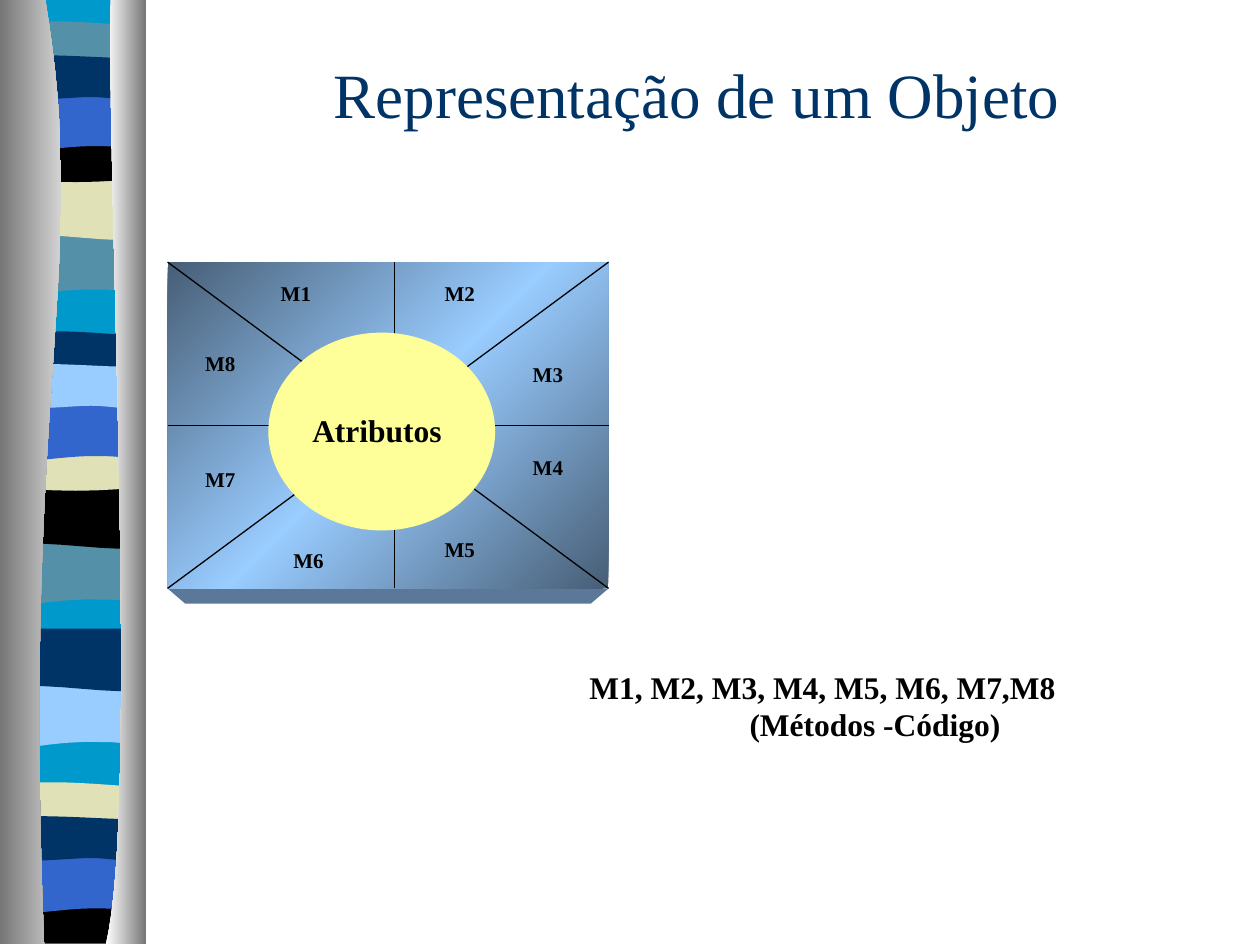
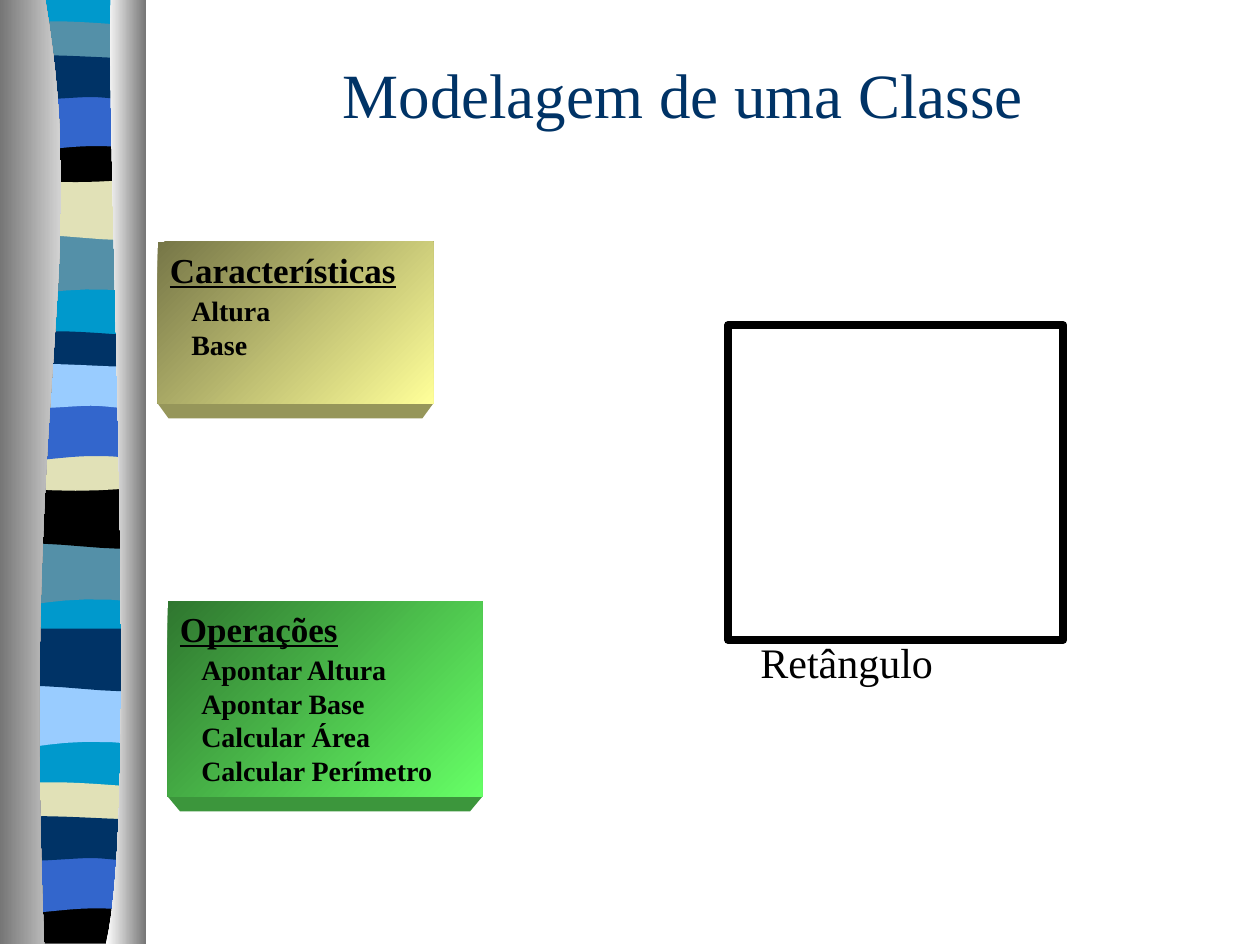
from copy import deepcopy
from dataclasses import dataclass

from pptx import Presentation
from pptx.dml.color import RGBColor
from pptx.enum.shapes import MSO_CONNECTOR, MSO_SHAPE
from pptx.enum.text import MSO_ANCHOR, PP_ALIGN
from pptx.oxml.ns import qn
from pptx.util import Inches, Pt


@dataclass(frozen=True)
class Theme:
    """Colours and type sizes shared by the slides."""
    font: str = "Times New Roman"
    ink: str = "000000"
    white: str = "FFFFFF"
    grey: str = "767676"
    silver: str = "D3D3D3"
    navy: str = "003366"
    blue: str = "3366CC"
    sky: str = "99CCFF"
    cyan: str = "0099CC"
    teal: str = "5490A8"
    sand: str = "E1E1B7"
    yellow: str = "FFFF99"
    steel: str = "475E76"
    steel_edge: str = "5B7899"
    olive: str = "767647"
    olive_edge: str = "96965A"
    green: str = "66FF66"
    forest: str = "2F762F"
    forest_edge: str = "3C963C"
    title: int = 36
    name: int = 24
    heading: int = 20
    body: int = 18
    item: int = 16
    label: int = 12


T = Theme()
LEFT, RIGHT = 0.05, 1.14

WAVES = {
    "sag": ([(LEFT, 0), (RIGHT, 0)],
            [(RIGHT, 0.47), (0.39, 0.39), (0.24, 0.55), (LEFT, 0.47)]),
    "ripple": ([(LEFT, 0), (RIGHT, 0)],
               [(RIGHT, 0.47), (0.96, 0.55), (0.39, 0.41), (LEFT, 0.47)]),
    "pinch": ([(LEFT, 0.05), (0.12, 0), (0.29, 0.01), (0.47, 0.01),
               (0.65, 0.01), (1, 0.04), (RIGHT, 0.05)],
              [(RIGHT, 0.29), (0.96, 0.34), (0.24, 0.34), (LEFT, 0.29)]),
    "bowl": ([(LEFT, 0), (0.72, 0.05), (0.91, 0), (RIGHT, 0)],
             [(RIGHT, 0.32), (0.96, 0.38), (0.24, 0.38), (LEFT, 0.32)]),
    "crest": ([(LEFT, 0), (RIGHT, 0)],
              [(RIGHT, 0.47), (0.97, 0.42), (0.9, 0.42), (0.72, 0.42),
               (0.54, 0.42), (0.22, 0.47), (LEFT, 0.47)]),
    "swell": ([(LEFT, 0.05), (0.21, 0), (0.79, 0.05), (0.97, 0.05), (RIGHT, 0.05)],
              [(RIGHT, 0.36), (1.07, 0.41), (0.9, 0.36), (0.72, 0.36),
               (0.54, 0.36), (0.17, 0.41), (LEFT, 0.36)]),
    "foot": ([(LEFT, 0), (0.71, 0.05), (0.9, 0), (RIGHT, 0)],
             [(RIGHT, 0.37), (LEFT, 0.37)]),
}

BANDS = [
    ("sag", 1.85, T.teal), ("ripple", 1.41, T.sand), ("pinch", 0.16, T.teal),
    ("bowl", 1.08, T.ink), ("crest", 0.74, T.blue), ("swell", 0.41, T.navy),
    ("sag", 4.31, T.teal), ("ripple", 3.86, T.ink), ("pinch", 2.62, T.navy),
    ("bowl", 3.53, T.sand), ("crest", 3.2, T.blue), ("swell", 2.86, T.sky),
    ("sag", 5.44, T.sky), ("ripple", 4.99, T.navy), ("pinch", 6.2, T.sand),
    ("foot", 7.12, T.ink), ("crest", 6.79, T.blue), ("swell", 6.45, T.navy),
]

METHODS = [(2.13, 2.18), (3.43, 2.18), (4.13, 2.82), (4.13, 3.56),
           (3.43, 4.21), (2.23, 4.3), (1.53, 3.65), (1.53, 2.73)]


def rgb(colour):
    """Turn a hex string into a colour."""
    return RGBColor.from_string(colour)


def curve(points, steps=8):
    """Sample a chain of cubic curves; any leftover points stay straight."""
    out = [points[0]]
    last = (len(points) - 1) // 3 * 3
    for i in range(0, last, 3):
        a, b, c, d = points[i:i + 4]
        for n in range(1, steps + 1):
            t = n / steps
            u = 1 - t
            out.append(tuple(u**3 * w + 3 * u * u * t * x + 3 * u * t * t * y + t**3 * z
                             for w, x, y, z in zip(a, b, c, d)))
    return out + points[last + 1:]


def paint(sp, colours, angle=0):
    """Give a shape no line or shadow, and no, a plain or a gradient fill."""
    sp.shadow.inherit = False
    sp.line.fill.background()
    if not colours:
        sp.fill.background()
    elif len(colours) == 1:
        sp.fill.solid()
        sp.fill.fore_color.rgb = rgb(colours[0])
    else:
        sp.fill.gradient()
        sp.fill.gradient_angle = angle
        stops = sp._element.spPr.find(qn("a:gradFill")).find(qn("a:gsLst"))
        while len(stops) < len(colours):
            stops.append(deepcopy(stops[0]))
        for i, (stop, colour) in enumerate(zip(sp.fill.gradient_stops, colours)):
            stop.position = i / (len(colours) - 1)
            stop.color.rgb = rgb(colour)
    return sp


def add_outline(s, points, *colours):
    """Draw a closed outline through points given in inches."""
    pts = [(Inches(x), Inches(y)) for x, y in points]
    builder = s.shapes.build_freeform(*pts[0], scale=1.0)
    builder.add_line_segments(pts[1:], close=True)
    return paint(builder.convert_to_shape(), colours)


def add_box(s, kind, box, *colours, angle=0):
    """Draw a preset shape."""
    return paint(s.shapes.add_shape(kind, *map(Inches, box)), colours, angle)


def add_slab(s, box, edge, *colours):
    """Draw a gradient rectangle with a bevelled lower edge."""
    x, y, w, h = box
    base, inset = y + h, 0.04 * w
    add_outline(s, [(x, base), (x + w, base), (x + w - inset, base + 0.12),
                    (x + inset, base + 0.12)], edge)
    return add_box(s, MSO_SHAPE.RECTANGLE, box, *colours, angle=315)


def add_line(s, x1, y1, x2, y2):
    """Draw a thin straight line."""
    ln = s.shapes.add_connector(MSO_CONNECTOR.STRAIGHT, *map(Inches, (x1, y1, x2, y2)))
    ln.line.color.rgb = rgb(T.ink)
    ln.line.width = Pt(0.75)
    ln._element.spPr.append(ln._element.makeelement(qn("a:effectLst"), {}))
    return ln


def write(p, text, size, bold=True, align=PP_ALIGN.LEFT, colour=T.ink, indent=0):
    """Fill and format one paragraph."""
    p.text = text
    p.alignment = align
    p.font.name = T.font
    p.font.size = Pt(size)
    p.font.bold = bold
    p.font.color.rgb = rgb(colour)
    if indent:
        p._p.get_or_add_pPr().set("marL", str(Inches(indent)))
    return p


def add_text(s, box, text, size, **style):
    """Add a wrapped text box with one paragraph."""
    tf = s.shapes.add_textbox(*map(Inches, box)).text_frame
    tf.word_wrap = True
    write(tf.paragraphs[0], text, size, **style)
    return tf


def add_list(sp, heading, items):
    """Write an underlined heading and indented items in a shape."""
    tf = sp.text_frame
    tf.word_wrap = True
    tf.vertical_anchor = MSO_ANCHOR.TOP
    write(tf.paragraphs[0], heading, T.heading).font.underline = True
    for i, item in enumerate(items):
        p = write(tf.add_paragraph(), item, T.item, indent=0.17)
        p.space_before = Pt(0 if i else 2)


def add_slide(prs, title, left):
    """Add a slide with its title."""
    s = prs.slides.add_slide(prs.slide_layouts[5])
    sp = s.shapes.title
    sp.left, sp.top, sp.width, sp.height = map(Inches, (left, 0.39, 8.5, 0.94))
    sp.text_frame.vertical_anchor = MSO_ANCHOR.TOP
    write(sp.text_frame.paragraphs[0], title, T.title, bold=False,
          align=PP_ALIGN.CENTER, colour=T.navy)
    return s


def add_curtain(s):
    """Draw the striped side band and move it to the slide layout."""
    stripes = [add_box(s, MSO_SHAPE.RECTANGLE, (LEFT, 0, RIGHT - LEFT, 7.47), T.cyan)]
    for wave, y, colour in BANDS:
        upper, lower = WAVES[wave]
        points = [(px, y + py) for px, py in curve(upper) + curve(lower)]
        stripes.append(add_outline(s, points, colour))
    left_edge = curve([(0.36, 0), (0.72, 2.16), (0.17, 2.96), (0.35, 7.49)], 32)
    right_edge = curve([(0.88, 0), (0.84, 1.25), (1.11, 6.46), (0.84, 7.49)], 32)
    stripes.append(add_outline(s, left_edge + [(0, 7.49), (0, 0)], T.grey, T.silver))
    stripes.append(add_outline(s, right_edge + [(1.16, 7.49), (1.16, 0)], T.white, T.grey))
    tree = s.slide_layout.shapes._spTree
    for i, sp in enumerate(stripes):
        sp._element.nvSpPr.cNvPr.set("id", str(100 + i))
        tree.insert(2 + i, sp._element)


def add_object(s):
    """Draw the object: attributes ringed by methods."""
    x, y, w, h = 1.33, 2.08, 3.5, 2.59
    slab = add_slab(s, (x, y, w, h), T.steel_edge, T.steel, T.sky, T.steel)
    add_line(s, x, y + h, x + w, y)
    add_line(s, x, y, x + w, y + h)
    add_line(s, 3.13, y, 3.13, y + h)
    across = add_line(s, x, y + h / 2, x + w, y + h / 2)
    across.begin_connect(slab, 1)
    across.end_connect(slab, 3)
    add_box(s, MSO_SHAPE.OVAL, (2.13, 2.64, 1.8, 1.57), T.yellow)
    add_text(s, (2.38, 3.21, 1.35, 0.41), "Atributos", T.body)
    for i, (left, top) in enumerate(METHODS, 1):
        add_text(s, (left, top, 0.7, 0.3), f"M{i}", T.label)
    tf = add_text(s, (4.58, 5.25, 4.42, 0.7), "M1, M2, M3, M4, M5, M6, M7,M8", T.body)
    write(tf.add_paragraph(), "(Métodos -Código)", T.body, indent=1.27)


def add_class(s):
    """Draw the class: features, operations and the figure."""
    add_list(add_slab(s, (1.25, 1.92, 2.19, 1.28), T.olive_edge, T.olive, T.yellow),
             "Características", ["Altura", "Base"])
    add_list(add_slab(s, (1.33, 4.77, 2.5, 1.55), T.forest_edge, T.forest, T.green),
             "Operações",
             ["Apontar Altura", "Apontar Base", "Calcular Área", "Calcular Perímetro"])
    figure = add_box(s, MSO_SHAPE.RECTANGLE, (5.78, 2.58, 2.66, 2.5))
    figure.line.color.rgb = rgb(T.ink)
    figure.line.width = Pt(4.5)
    add_text(s, (5.78, 5, 1.88, 0.51), "Retângulo", T.name, bold=False,
             align=PP_ALIGN.CENTER)


def main():
    """Build the presentation."""
    prs = Presentation()
    prs.slide_width, prs.slide_height = Inches(10), Inches(7.5)
    s = add_slide(prs, "Representação de um Objeto", 1.28)
    add_curtain(s)
    add_object(s)
    add_class(add_slide(prs, "Modelagem de uma Classe", 1.17))
    prs.save("out.pptx")


if __name__ == "__main__":
    main()
